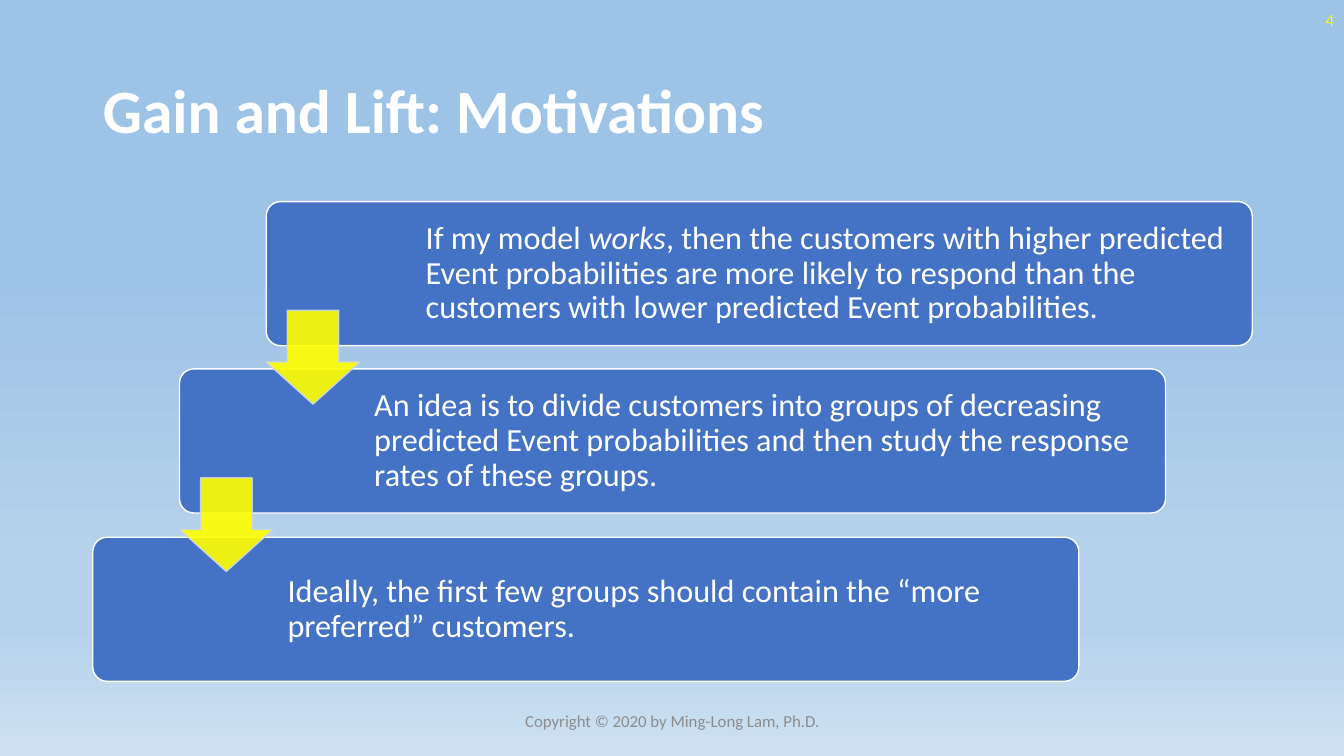
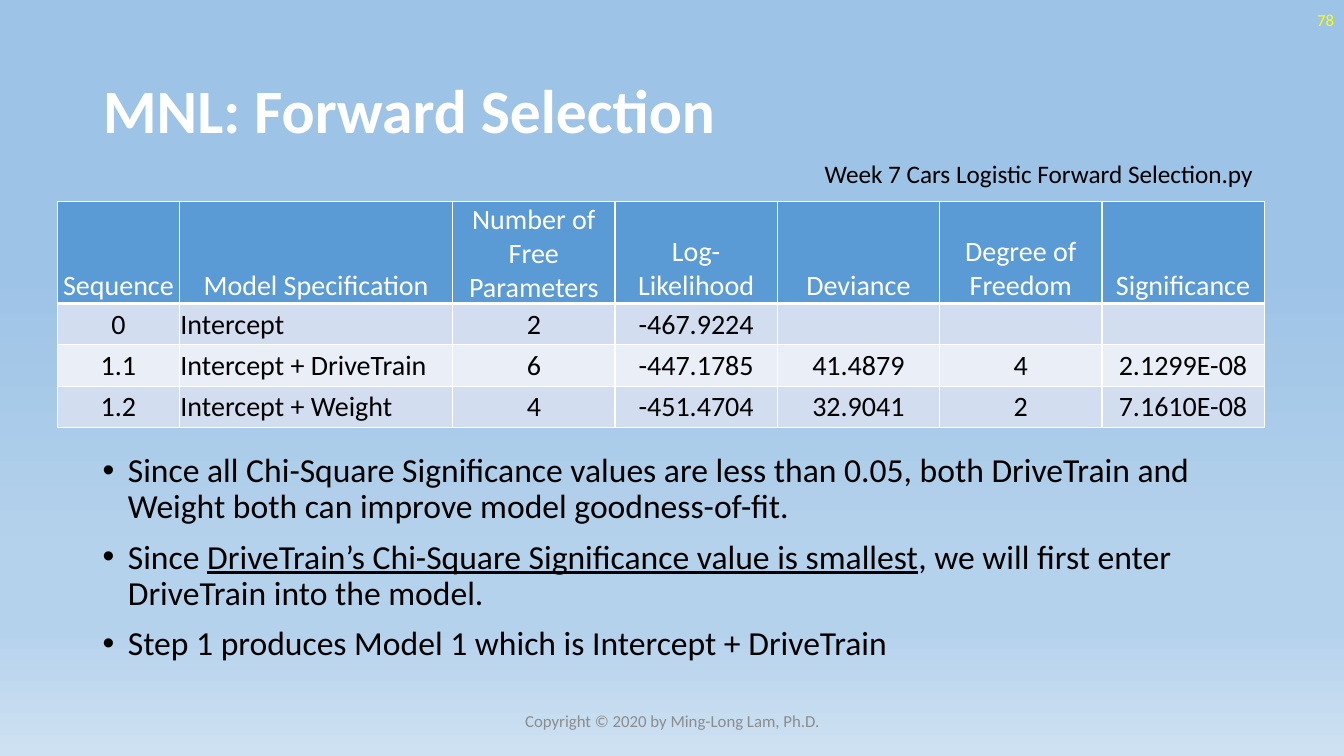
from copy import deepcopy
from dataclasses import dataclass, field
from typing import Any

from lxml import etree
from pptx import Presentation
from pptx import util as u
from pptx.dml.color import RGBColor
from pptx.enum import shapes, text
from pptx.oxml.ns import qn

# Shared look: 100 px to the inch
EMU_PER_PX = 9144
FONT = "Calibri"
WHITE, BLACK, YELLOW, GREY = "FFFFFF", "000000", "FFFF00", "8C8C8C"
CARD_BLUE, ARROW_EDGE = "4472C4", "CFD5EA"
HEADER_BLUE, BAND_COLOURS = "5B9BD5", ("D2DEEF", "EAEFF7")
BACKGROUND_STOPS = ((0.35, "9DC3E6"), (0.74, "B5D2EC"), (0.83, "B5D2EC"), (1, "CEE1F2"))
COPYRIGHT = "Copyright © 2020 by Ming-Long Lam, Ph.D."
LEFT, CENTER, RIGHT = text.PP_ALIGN.LEFT, text.PP_ALIGN.CENTER, text.PP_ALIGN.RIGHT
MIDDLE, TOP, BOTTOM = text.MSO_ANCHOR.MIDDLE, text.MSO_ANCHOR.TOP, text.MSO_ANCHOR.BOTTOM


@dataclass(frozen=True)
class Box:
    left: int
    top: int
    width: int
    height: int

    def emu(self) -> tuple[int, ...]:
        return tuple(px(n) for n in (self.left, self.top, self.width, self.height))


@dataclass(frozen=True)
class Run:
    words: str
    format: dict[str, Any] = field(default_factory=dict)


@dataclass(frozen=True)
class Card:
    runs: tuple[Run, ...]
    text_indent: int


TITLE_BOX = Box(92, 40, 1150, 145)
NUMBER_BOX = Box(1033, 0, 300, 40)
FOOTER_BOX = Box(442, 695, 450, 40)

# Slide content
CARDS = (
    Card((Run("If my model "), Run("works", {"italic": True}),
          Run(", then the customers with higher predicted Event probabilities are more "
              "likely to respond than the customers with lower predicted Event "
              "probabilities.")), 154),
    Card((Run("An idea is to divide customers into groups of decreasing predicted Event "
              "probabilities and then study the response rates of these groups."),), 189),
    Card((Run("Ideally, the first few groups should contain the “more preferred” "
              "customers."),), 189),
)
MODEL_ROWS = (
    ("Sequence", "Model Specification", "Number of Free Parameters", "Log-Likelihood",
     "Deviance", "Degree of Freedom", "Significance"),
    ("0", "Intercept", "2", "-467.9224", "", "", ""),
    ("1.1", "Intercept + DriveTrain", "6", "-447.1785", "41.4879", "4", "2.1299E-08"),
    ("1.2", "Intercept + Weight", "4", "-451.4704", "32.9041", "2", "7.1610E-08"),
)
COLUMN_WIDTHS = (121, 271) + (161,) * 5
ROW_HEIGHTS = (100, 41, 41, 41)
FINDINGS = (
    (Run("Since all Chi-Square Significance values are less than 0.05, both DriveTrain "
         "and Weight both can improve model goodness-of-fit."),),
    (Run("Since "),
     Run("DriveTrain’s Chi-Square Significance value is smallest", {"underline": True}),
     Run(", we will first enter DriveTrain into the model.")),
    (Run("Step 1 produces Model 1 which is Intercept + DriveTrain"),),
)


# Helpers
def px(length: int) -> int:
    return length * EMU_PER_PX


def colour(code: str) -> RGBColor:
    return RGBColor.from_string(code)


def apply(target: Any, values: dict[str, Any]) -> None:
    for name, value in values.items():
        setattr(target, name, value)


def margins(left: int, top: int, right: int, bottom: int) -> dict[str, int]:
    return {"margin_left": px(left), "margin_top": px(top),
            "margin_right": px(right), "margin_bottom": px(bottom)}


def add_runs(paragraph, runs: tuple[Run, ...], size: int, code: str,
             align=LEFT, spacing: float = 1.0, **font: Any) -> None:
    apply(paragraph, {"alignment": align, "line_spacing": spacing})
    for run in runs:
        piece = paragraph.add_run()
        piece.text = run.words
        apply(piece.font, {"name": FONT, "size": u.Pt(size), **font, **run.format})
        piece.font.color.rgb = colour(code)


def add_label(slide, box: Box, words: str, size: int, code: str, align=LEFT, **frame: Any):
    shape = slide.shapes.add_textbox(*box.emu())
    apply(shape.text_frame, {"word_wrap": True, "vertical_anchor": MIDDLE, **frame})
    add_runs(shape.text_frame.paragraphs[0], (Run(words),), size, code, align)


def add_filled_shape(slide, kind, box: Box, adjustments: tuple[float, ...],
                     fill: str, line: str, opacity: int = 100):
    shape = slide.shapes.add_shape(kind, *box.emu())
    shape.shadow.inherit = False
    for index, value in enumerate(adjustments):
        shape.adjustments[index] = value
    shape.fill.solid()
    shape.fill.fore_color.rgb = colour(fill)
    shape.line.color.rgb = colour(line)
    shape.line.width = u.Pt(1)
    if opacity < 100:
        for element in shape.element.spPr.iter(qn("a:srgbClr")):
            etree.SubElement(element, qn("a:alpha"), val=str(opacity * 1000))
    return shape


def add_bullet(paragraph) -> None:
    properties = paragraph._p.get_or_add_pPr()
    properties.set("marL", str(px(25)))
    properties.set("indent", str(px(-25)))
    etree.SubElement(properties, qn("a:buFont"), typeface="Arial")
    etree.SubElement(properties, qn("a:buChar"), char="•")


def set_borders(cell, widths: dict[str, int]) -> None:
    properties = cell._tc.get_or_add_tcPr()
    for index, (side, width) in enumerate(widths.items()):
        line = etree.Element(qn(f"a:ln{side}"), w=str(u.Pt(width)))
        fill = etree.SubElement(line, qn("a:solidFill"))
        etree.SubElement(fill, qn("a:srgbClr"), val=WHITE)
        properties.insert(index, line)


# Shared parts
def set_background(master) -> None:
    fill = master.background.fill
    fill.gradient()
    fill.gradient_angle = 270
    stop_list = master.element.find(".//" + qn("a:gsLst"))
    while len(stop_list) < len(BACKGROUND_STOPS):
        stop_list.append(deepcopy(stop_list[-1]))
    for stop, (position, code) in zip(fill.gradient_stops, BACKGROUND_STOPS):
        stop.position = position
        stop.color.rgb = colour(code)


def add_slide(presentation, title: str, number: str):
    slide = presentation.slides.add_slide(presentation.slide_layouts[5])
    shape = slide.shapes.title
    apply(shape, dict(zip(("left", "top", "width", "height"), TITLE_BOX.emu())))
    apply(shape.text_frame, {"vertical_anchor": MIDDLE, "word_wrap": True,
                             "auto_size": text.MSO_AUTO_SIZE.NONE})
    add_runs(shape.text_frame.paragraphs[0], (Run(title),), 44, WHITE,
             spacing=0.9, bold=True)
    add_label(slide, NUMBER_BOX, number, 12, YELLOW, RIGHT)
    add_label(slide, FOOTER_BOX, COPYRIGHT, 12, GREY, CENTER)
    return slide


# Slide parts
def add_staircase(slide) -> None:
    corners = [(264 - 86 * step, 200 + 333 * step // 2) for step in range(len(CARDS))]
    for card, (left, top) in zip(CARDS, corners):
        shape = add_filled_shape(slide, shapes.MSO_SHAPE.ROUNDED_RECTANGLE,
                                 Box(left, top, 978, 143), (0.1,), CARD_BLUE, WHITE)
        apply(shape.text_frame, {"word_wrap": True, "vertical_anchor": MIDDLE,
                                 **margins(card.text_indent, 10, 11, 10)})
        add_runs(shape.text_frame.paragraphs[0], card.runs, 23, WHITE, spacing=0.9)
    for left, top in corners[:-1]:
        add_filled_shape(slide, shapes.MSO_SHAPE.DOWN_ARROW, Box(left, top + 108, 93, 93),
                         (0.55, 0.45), YELLOW, ARROW_EDGE, opacity=90)


def add_model_table(slide) -> None:
    box = Box(57, 200, sum(COLUMN_WIDTHS), sum(ROW_HEIGHTS))
    table = slide.shapes.add_table(len(MODEL_ROWS), len(COLUMN_WIDTHS), *box.emu()).table
    for column, width in zip(table.columns, COLUMN_WIDTHS):
        column.width = px(width)
    for row_index, words_in_row in enumerate(MODEL_ROWS):
        table.rows[row_index].height = px(ROW_HEIGHTS[row_index])
        header = row_index == 0
        for column_index, words in enumerate(words_in_row):
            cell = table.cell(row_index, column_index)
            apply(cell, {"vertical_anchor": BOTTOM if header else MIDDLE,
                         **margins(1, 1, 1, 0)})
            cell.fill.solid()
            cell.fill.fore_color.rgb = colour(
                HEADER_BLUE if header else BAND_COLOURS[(row_index - 1) % 2])
            set_borders(cell, {"L": 1, "R": 1, "T": 3 if row_index == 1 else 1,
                               "B": 3 if header else 1})
            if words:
                align = LEFT if column_index == 1 and not header else CENTER
                add_runs(cell.text_frame.paragraphs[0], (Run(words),), 20,
                         WHITE if header else BLACK, align, bold=False)


def add_findings(slide) -> None:
    frame = slide.shapes.add_textbox(*Box(92, 445, 1150, 231).emu()).text_frame
    apply(frame, {"word_wrap": True, "vertical_anchor": TOP})
    for index, runs in enumerate(FINDINGS):
        paragraph = frame.add_paragraph() if index else frame.paragraphs[0]
        add_bullet(paragraph)
        paragraph.space_before = u.Pt(10 if index else 0)
        add_runs(paragraph, runs, 24, BLACK, spacing=0.9)


def main() -> None:
    presentation = Presentation()
    apply(presentation, {"slide_width": px(1333), "slide_height": px(750)})
    set_background(presentation.slide_master)

    add_staircase(add_slide(presentation, "Gain and Lift: Motivations", "4"))

    slide = add_slide(presentation, "MNL: Forward Selection", "78")
    add_label(slide, Box(808, 152, 450, 40), "Week 7 Cars Logistic Forward Selection.py",
              18, BLACK, word_wrap=False, vertical_anchor=TOP,
              auto_size=text.MSO_AUTO_SIZE.SHAPE_TO_FIT_TEXT)
    add_model_table(slide)
    add_findings(slide)

    presentation.save("out.pptx")


if __name__ == "__main__":
    main()
